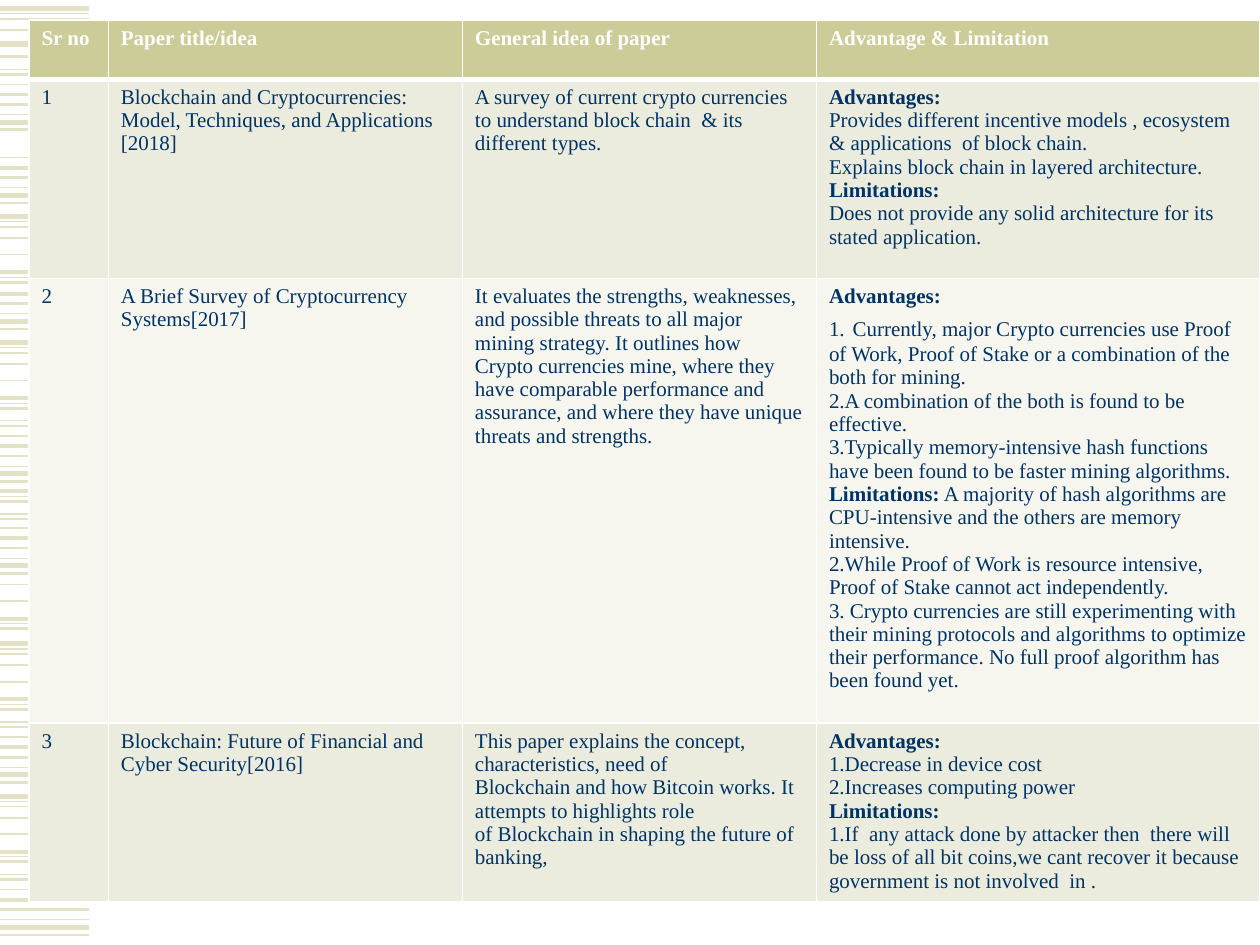
from lxml.etree import SubElement
from pptx import Presentation
from pptx.dml.color import RGBColor
from pptx.enum.shapes import MSO_CONNECTOR
from pptx.oxml.ns import qn
from pptx.util import Inches, Pt

COLORS = {"stripe": "E3E2C7", "head": "CCCC99", "odd": "ECECDE",
          "even": "F6F6EF", "text": "003366", "white": "FFFFFF"}
FONT = "Times New Roman"
LABELS = ("Advantages:", "Limitations:")
WIDE_GAP = "|"

STRIPE_W = 0.71
SHORT_MOTIF = [(-0.24, 1), (-0.16, 2.25), (-0.08, 1.5), (0, 0.75), (0.06, 3), (0.12, 1.5)]
LONG_MOTIF = [(0, 3), (0.04, 0.75), (0.08, 1), (0.17, 1), (0.3, 1), (0.44, 2.25),
              (0.48, 0.75), (0.52, 1.5), (0.62, 0.75), (0.66, 1.5)]
STRIPE_GROUPS = [(y, SHORT_MOTIF) for y in (0.91, 1.49, 2.49, 3.7, 4.43, 6.09, 7.3)] + [
    (0.07, LONG_MOTIF[:4]), (0.35, LONG_MOTIF[:1]), (-0.07, LONG_MOTIF[7:]),
    (1.72, LONG_MOTIF[:8]), (2.72, LONG_MOTIF), (3.46, LONG_MOTIF[5:]),
    (4.47, LONG_MOTIF[3:8]), (5.11, LONG_MOTIF), (6.32, LONG_MOTIF)]

COLS = [0.63, 2.81, 2.81, 3.52]
ROWS = [0.47, 1.58, 3.53, 1.42]
PAPERS = [
    ["Sr no", "Paper title/idea", "General idea of paper", "Advantage & Limitation"],
    ["1",
     "Blockchain and Cryptocurrencies: Model, Techniques, and Applications [2018]",
     "A survey of current crypto currencies to understand block chain  & its different types.",
     """Advantages:
Provides different incentive models , ecosystem & applications  of block chain.
Explains block chain in layered architecture.
Limitations:
Does not provide any solid architecture for its stated application."""],
    ["2",
     "A Brief Survey of Cryptocurrency Systems[2017]",
     "It evaluates the strengths, weaknesses, and possible threats to all major mining "
     "strategy. It outlines how Crypto currencies mine, where they have comparable "
     "performance and assurance, and where they have unique threats and strengths.",
     """Advantages:
1.|Currently, major Crypto currencies use Proof of Work, Proof of Stake or a combination of the both for mining.
2.A combination of the both is found to be effective.
3.Typically memory-intensive hash functions have been found to be faster mining algorithms.
Limitations: A majority of hash algorithms are CPU-intensive and the others are memory intensive.
2.While Proof of Work is resource intensive, Proof of Stake cannot act independently.
3. Crypto currencies are still experimenting with their mining protocols and algorithms to optimize their performance. No full proof algorithm has been found yet."""],
    ["3",
     "Blockchain: Future of Financial and Cyber Security[2016]",
     """This paper explains the concept, characteristics, need of
Blockchain and how Bitcoin works. It attempts to highlights role
of Blockchain in shaping the future of banking,""",
     """Advantages:
1.Decrease in device cost
2.Increases computing power
Limitations:
1.If  any attack done by attacker then  there will be loss of all bit coins,we cant recover it because government is not involved  in ."""],
]


def rgb(name):
    """Return a palette colour."""
    return RGBColor.from_string(COLORS[name])


def add_stripe(slide, y, weight):
    """Draw one horizontal stripe at the left edge."""
    line = slide.shapes.add_connector(
        MSO_CONNECTOR.STRAIGHT, 0, Inches(y), Inches(STRIPE_W), Inches(y))
    line.line.color.rgb = rgb("stripe")
    line.line.width = Pt(weight)
    SubElement(line._element.spPr, qn("a:effectLst"))


def add_run(p, text, size=12, bold=False, color="text"):
    """Append formatted text to a paragraph."""
    r = p.add_run()
    r.text = text
    r.font.name = FONT
    r.font.size = Pt(size)
    r.font.bold = bold
    r.font.color.rgb = rgb(color)


def write_line(p, text, bold=False, color="text"):
    """Write a line, with a bold label or a wide gap where it has one."""
    label = next((s for s in LABELS if text.startswith(s)), "")
    before, gap, after = text[len(label):].partition(WIDE_GAP)
    if label:
        add_run(p, label, bold=True)
    if before:
        add_run(p, before, bold=bold, color=color)
    if gap:
        add_run(p, " ", size=18)
        add_run(p, after)


def set_borders(cell, bottom=1):
    """Give a cell white borders."""
    tcPr = cell._tc.get_or_add_tcPr()
    for side, width in (("L", 1), ("R", 1), ("T", 1), ("B", bottom)):
        ln = SubElement(tcPr, qn(f"a:ln{side}"), w=str(Pt(width)))
        fill = SubElement(ln, qn("a:solidFill"))
        SubElement(fill, qn("a:srgbClr"), val=COLORS["white"])


def fill_cell(cell, text, fill, bottom=1, **fmt):
    """Style a cell and write its lines."""
    set_borders(cell, bottom)
    cell.fill.solid()
    cell.fill.fore_color.rgb = rgb(fill)
    tf = cell.text_frame
    for i, line in enumerate(text.split("\n")):
        write_line(tf.paragraphs[0] if i == 0 else tf.add_paragraph(), line, **fmt)


def add_papers(slide):
    """Build the literature survey table."""
    table = slide.shapes.add_table(
        len(ROWS), len(COLS), Inches(0.23), Inches(0.16),
        Inches(sum(COLS)), Inches(sum(ROWS))).table
    for col, width in zip(table.columns, COLS):
        col.width = Inches(width)
    for i, (height, texts) in enumerate(zip(ROWS, PAPERS)):
        table.rows[i].height = Inches(height)
        for j, text in enumerate(texts):
            cell = table.cell(i, j)
            if i == 0:
                fill_cell(cell, text, "head", bottom=3, bold=True, color="white")
            else:
                fill_cell(cell, text, "odd" if i % 2 else "even", bottom=1)


def main():
    """Build and save the slide."""
    prs = Presentation()
    prs.slide_width, prs.slide_height = Inches(10), Inches(7.5)
    slide = prs.slides.add_slide(prs.slide_layouts[6])
    for base, motif in STRIPE_GROUPS:
        for offset, weight in motif:
            add_stripe(slide, base + offset, weight)
    add_papers(slide)
    prs.save("out.pptx")


if __name__ == "__main__":
    main()
